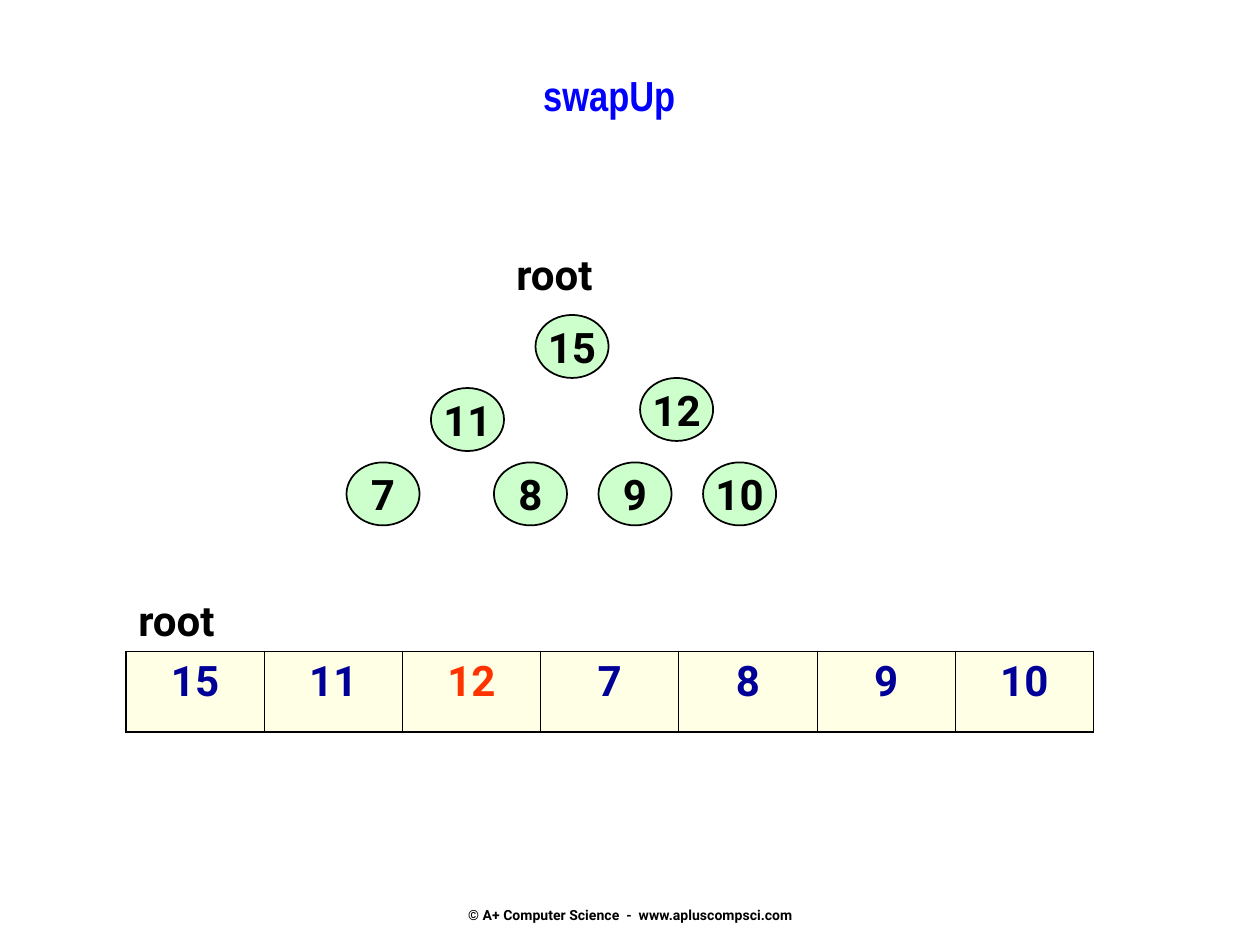
from lxml import etree
from pptx import Presentation
from pptx.dml.color import RGBColor
from pptx.enum.shapes import MSO_SHAPE
from pptx.enum.text import MSO_ANCHOR, PP_ALIGN
from pptx.oxml.ns import qn
from pptx.util import Inches, Pt

OVAL = MSO_SHAPE.OVAL
LEFT, CENTER = PP_ALIGN.LEFT, PP_ALIGN.CENTER
TOP, MIDDLE, BOTTOM = MSO_ANCHOR.TOP, MSO_ANCHOR.MIDDLE, MSO_ANCHOR.BOTTOM

COLORS = {
    "title": "0000FF",
    "text": "000000",
    "node": "CCFFCC",
    "cell": "FFFFCC",
    "value": "000099",
    "moved": "FF3300",
}
THIN, THICK = 0.45, 1.08


def rgb(name):
    return RGBColor.from_string(COLORS[name])


class HeapSlide:
    font = "Roboto"
    size = 24

    def __init__(self, prs):
        self.s = prs.slides.add_slide(prs.slide_layouts[6])

    def add_text(self, tf, text, color="text", align=CENTER, size=None, font=None):
        p = tf.paragraphs[0]
        p.alignment = align
        r = p.add_run()
        r.text = text
        r.font.name = font or self.font
        r.font.size = Pt(size or self.size)
        r.font.bold = True
        r.font.color.rgb = rgb(color)

    def label(self, x, y, w, h, text, wrap=True, anchor=TOP, **style):
        tf = self.s.shapes.add_textbox(Inches(x), Inches(y), Inches(w), Inches(h)).text_frame
        tf.word_wrap = wrap
        tf.vertical_anchor = anchor
        self.add_text(tf, text, **style)
        return tf

    def node(self, x, y, text):
        sp = self.s.shapes.add_shape(OVAL, Inches(x), Inches(y), Inches(0.58), Inches(0.5))
        sp.shadow.inherit = False
        sp.fill.solid()
        sp.fill.fore_color.rgb = rgb("node")
        sp.line.color.rgb = rgb("text")
        sp.line.width = Pt(1)
        sp.text_frame.word_wrap = False
        sp.text_frame.vertical_anchor = MIDDLE
        self.add_text(sp.text_frame, text)

    def border(self, cell, widths):
        """Draw the left, right, top and bottom borders, widths in points."""
        tcPr = cell._tc.get_or_add_tcPr()
        for i, (side, width) in enumerate(zip("LRTB", widths)):
            ln = etree.Element(qn(f"a:ln{side}"), w=str(Pt(width)))
            fill = etree.SubElement(ln, qn("a:solidFill"))
            etree.SubElement(fill, qn("a:srgbClr"), val=COLORS["text"])
            tcPr.insert(i, ln)

    def array(self, x, y, w, h, values, moved):
        """Draw the heap as a one-row table, with the moved value highlighted."""
        n = len(values)
        frame = self.s.shapes.add_table(1, n, Inches(x), Inches(y), Inches(w), Inches(h))
        table = frame.table
        table.first_row = table.horz_banding = False
        for i, value in enumerate(values):
            cell = table.cell(0, i)
            cell.fill.solid()
            cell.fill.fore_color.rgb = rgb("cell")
            tcPr = cell._tc.get_or_add_tcPr()
            etree.SubElement(tcPr.find(".//" + qn("a:srgbClr")), qn("a:alpha"), val="50000")
            self.border(cell, (THICK if i == 0 else THIN,
                               THICK if i == n - 1 else THIN, THICK, THICK))
            self.add_text(cell.text_frame, value, "moved" if value == moved else "value")


def main():
    prs = Presentation()
    prs.slide_width, prs.slide_height = Inches(10), Inches(7.5)
    slide = HeapSlide(prs)

    footer = slide.label(3.42, 6.83, 3.17, 0.5,
                         "© A+ Computer Science  -  www.apluscompsci.com",
                         wrap=False, anchor=BOTTOM, size=8)
    footer.margin_bottom = 0

    values = ["15", "11", "12", "7", "8", "9", "10"]
    places = [(4.25, 2.5), (3.42, 3.08), (5.08, 3),
              (2.75, 3.67), (3.92, 3.67), (4.75, 3.67), (5.58, 3.67)]
    for (x, y), value in zip(places, values):
        slide.node(x, y, value)

    slide.label(4, 1.92, 1.5, 0.5, "root", align=LEFT)
    slide.label(2.17, 0.5, 5.33, 0.67, "swapUp", wrap=False,
                color="title", font="Arial Narrow")
    slide.label(1, 4.67, 7, 0.5, "root", align=LEFT)
    slide.array(1, 5.17, 7.68, 0.64, values, moved="12")

    prs.save("out.pptx")


if __name__ == "__main__":
    main()
